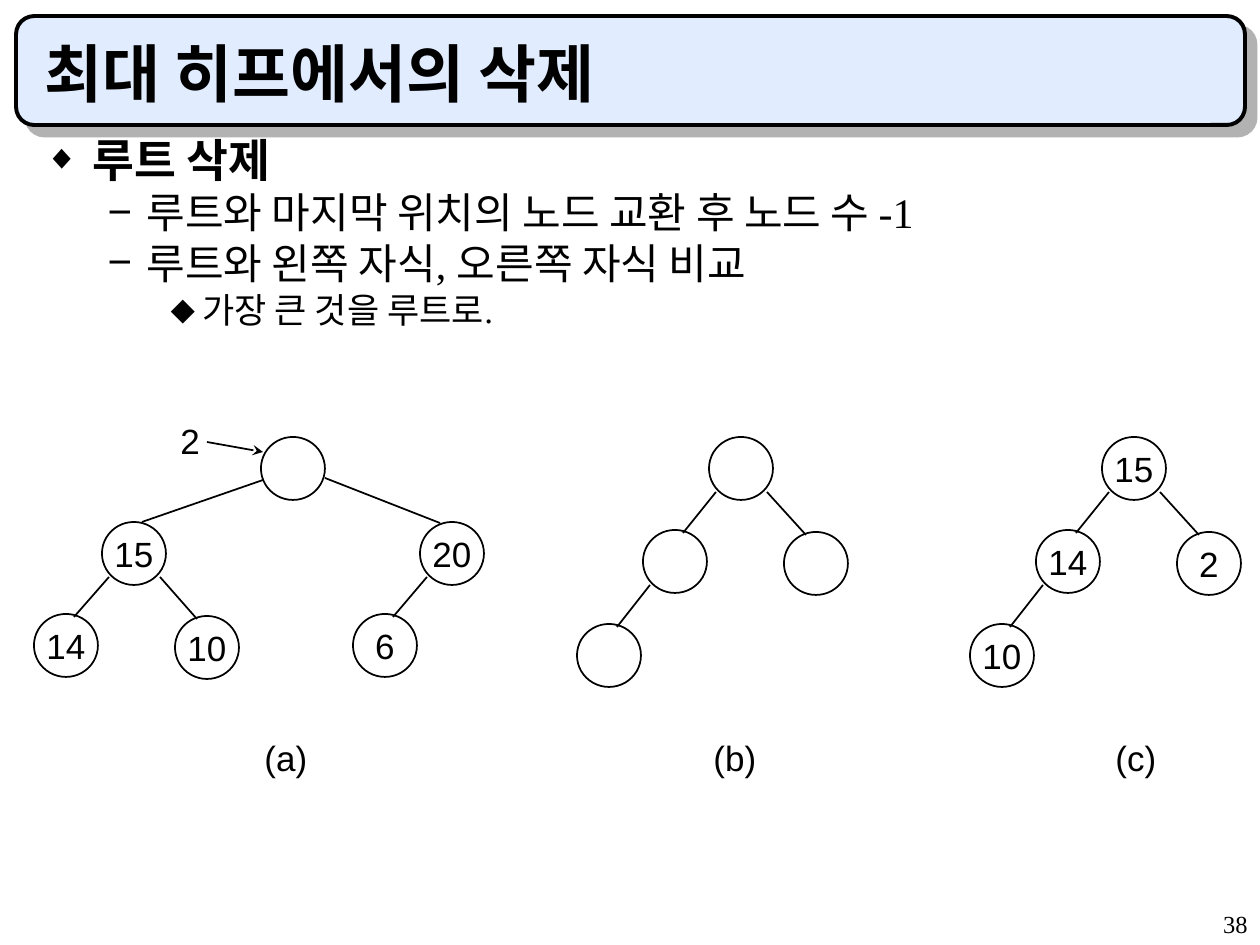
from lxml.etree import SubElement
from pptx import Presentation
from pptx.dml.color import RGBColor
from pptx.enum.shapes import MSO_CONNECTOR as CONN, MSO_SHAPE as SHAPE
from pptx.enum.text import MSO_ANCHOR as ANCHOR, MSO_AUTO_SIZE as FIT, PP_ALIGN as ALIGN
from pptx.oxml.ns import qn
from pptx.util import Pt

# Content
TITLE = "최대 히프에서의 삭제"
BODY = [  # level, text
    (0, "루트 삭제"),
    (1, "루트와 마지막 위치의 노드 교환 후 노드 수 -1"),
    (1, "루트와 왼쪽 자식, 오른쪽 자식 비교"),
    (2, "가장 큰 것을 루트로."),
]
PAGE = "38"

# Heaps: node positions (px, from the root) and edges (parent, child)
FULL = dict(nodes=[(0, 0), (-159, 85), (159, 85), (-227, 177), (-86, 179), (92, 177)],
            edges=[(0, 1), (0, 2), (1, 3), (1, 4), (2, 5)])
SMALL = dict(nodes=[(0, 0), (-66, 93), (75, 95), (-132, 187)],
             edges=[(0, 1), (0, 2), (1, 3)])
HEAPS = [  # caption, caption left, root left, layout, keys
    ("(a)", 252, 261, FULL, ["", "15", "20", "14", "10", "6"]),
    ("(b)", 701, 709, SMALL, ["", "", "", ""]),
    ("(c)", 1103, 1102, SMALL, ["15", "14", "2", "10"]),
]
ROOT_TOP, CAPTION_TOP, NODE_W, NODE_H = 437, 730, 64, 63

# Edge ends inside the node boxes: (start, end), keyed by (wide, to the right)
ANCHORS = {
    (False, False): ((7, 55), (40, 3)),
    (False, True): ((58, 55), (22, 3)),
    (True, False): ((2, 43), (40, 0)),
    (True, True): ((64, 41), (20, 1)),
}

THEME = dict(
    ink=RGBColor(0, 0, 0), bar=RGBColor(0xE1, 0xEC, 0xFF), shadow="B2B2B2",
    korean="Noto Sans CJK KR", serif="Times New Roman", sans="Arial",
    title=36, node=20, page=14,
)
LEVELS = [  # size, space before, left margin, indent (px), bullet, bullet percent
    (26, 6.5, 48, -48, "◆", 75),
    (24, 6, 102, -39, "−", 100),
    (20, 5, 158, -32, "⬥", 100),
]
SCALE = 914400 / 126


def px(*values):
    return [round(v * SCALE) for v in values]


def style(p, size, font, bold=False):
    for r in p.runs:
        r.font.size, r.font.name, r.font.bold = Pt(size), font, bold
        r.font.color.rgb = THEME["ink"]
        latin = r.font._element.find(qn("a:latin"))
        ea = latin.makeelement(qn("a:ea"), {"typeface": THEME["korean"]})
        latin.addnext(ea)


def outline(sp, width):
    sp.line.color.rgb = THEME["ink"]
    sp.line.width = Pt(width)


def place(sp, *box):
    sp.left, sp.top, sp.width, sp.height = px(*box)


def add_label(text, box, size, font, align=ALIGN.LEFT, wrap=False):
    tf = slide.shapes.add_textbox(*px(*box)).text_frame
    tf.word_wrap = wrap
    tf.text = text
    tf.paragraphs[0].alignment = align
    style(tf.paragraphs[0], size, font)


def add_node(x, y, key):
    sp = slide.shapes.add_shape(SHAPE.OVAL, *px(x, y, NODE_W, NODE_H))
    sp.shadow.inherit = False
    sp.fill.background()
    outline(sp, 1)
    if key:
        tf = sp.text_frame
        tf.word_wrap = False
        tf.vertical_anchor = ANCHOR.MIDDLE
        tf.text = key
        tf.paragraphs[0].alignment = ALIGN.CENTER
        style(tf.paragraphs[0], THEME["node"], THEME["sans"])


def add_line(x1, y1, x2, y2, arrow=False):
    line = slide.shapes.add_connector(CONN.STRAIGHT, *px(x1, y1, x2, y2))
    outline(line, 1)
    if arrow:
        SubElement(line.line._get_or_add_ln(), qn("a:tailEnd"), type="stealth")
    SubElement(line._element.spPr, qn("a:effectLst"))


def add_bullet(p, left, indent, char, percent):
    pPr = p._p.get_or_add_pPr()
    pPr.set("marL", str(px(left)[0]))
    pPr.set("indent", str(px(indent)[0]))
    color = SubElement(pPr, qn("a:buClr"))
    SubElement(color, qn("a:srgbClr"), val=str(THEME["ink"]))
    SubElement(pPr, qn("a:buSzPct"), val=str(percent * 1000))
    SubElement(pPr, qn("a:buChar"), char=char)


prs = Presentation()
prs.slide_width, prs.slide_height = px(1260, 945)
slide = prs.slides.add_slide(prs.slide_layouts[1])

# Title bar with its hard shadow, behind the placeholders
bar = slide.shapes.add_shape(SHAPE.ROUNDED_RECTANGLE, *px(16, 16, 1229, 109))
bar.fill.solid()
bar.fill.fore_color.rgb = THEME["bar"]
outline(bar, 2.25)
effects = SubElement(bar._element.spPr, qn("a:effectLst"))
shadow = SubElement(effects, qn("a:outerShdw"), dist=str(Pt(8.5)), dir="2700000",
                    algn="ctr", rotWithShape="0")
SubElement(shadow, qn("a:srgbClr"), val=THEME["shadow"])
slide.shapes._spTree.insert(2, bar._element)

# Title
title = slide.shapes.title
place(title, 32, 32, 1187, 84)
tf = title.text_frame
tf.text = TITLE
tf.auto_size = FIT.NONE
tf.vertical_anchor = ANCHOR.BOTTOM
tf.paragraphs[0].alignment = ALIGN.LEFT
style(tf.paragraphs[0], THEME["title"], THEME["korean"], bold=True)

# Body list
body = slide.placeholders[1]
place(body, 32, 136, 1187, 735)
tf = body.text_frame
tf.text = "\n".join(text for _, text in BODY)
tf.auto_size = FIT.NONE
for i, (p, (level, _)) in enumerate(zip(tf.paragraphs, BODY)):
    size, before, *bullet = LEVELS[level]
    p.level = level
    add_bullet(p, *bullet)
    p.line_spacing = 0.8
    p.space_before = Pt(before if i else 0)
    style(p, size, THEME["serif"], bold=level == 0)

# Heaps
for caption, caption_x, root_x, layout, keys in HEAPS:
    spots = [(root_x + dx, ROOT_TOP + dy) for dx, dy in layout["nodes"]]
    for (x, y), key in zip(spots, keys):
        add_node(x, y, key)
    for parent, child in layout["edges"]:
        (x1, y1), (x2, y2) = spots[parent], spots[child]
        (sx, sy), (ex, ey) = ANCHORS[abs(x2 - x1) > 100, x2 > x1]
        add_line(x1 + sx, y1 + sy, x2 + ex, y2 + ey)
    add_label(caption, (caption_x, CAPTION_TOP, 68, 54), THEME["node"], THEME["sans"])

# Key that moves into the root
add_line(207, 442, 263, 452, arrow=True)
add_label("2", (168, 413, 45, 54), THEME["node"], THEME["sans"])

# Page number
add_label(PAGE, (998, 903, 262, 42), THEME["page"], THEME["serif"], ALIGN.RIGHT, wrap=True)

prs.save("out.pptx")
